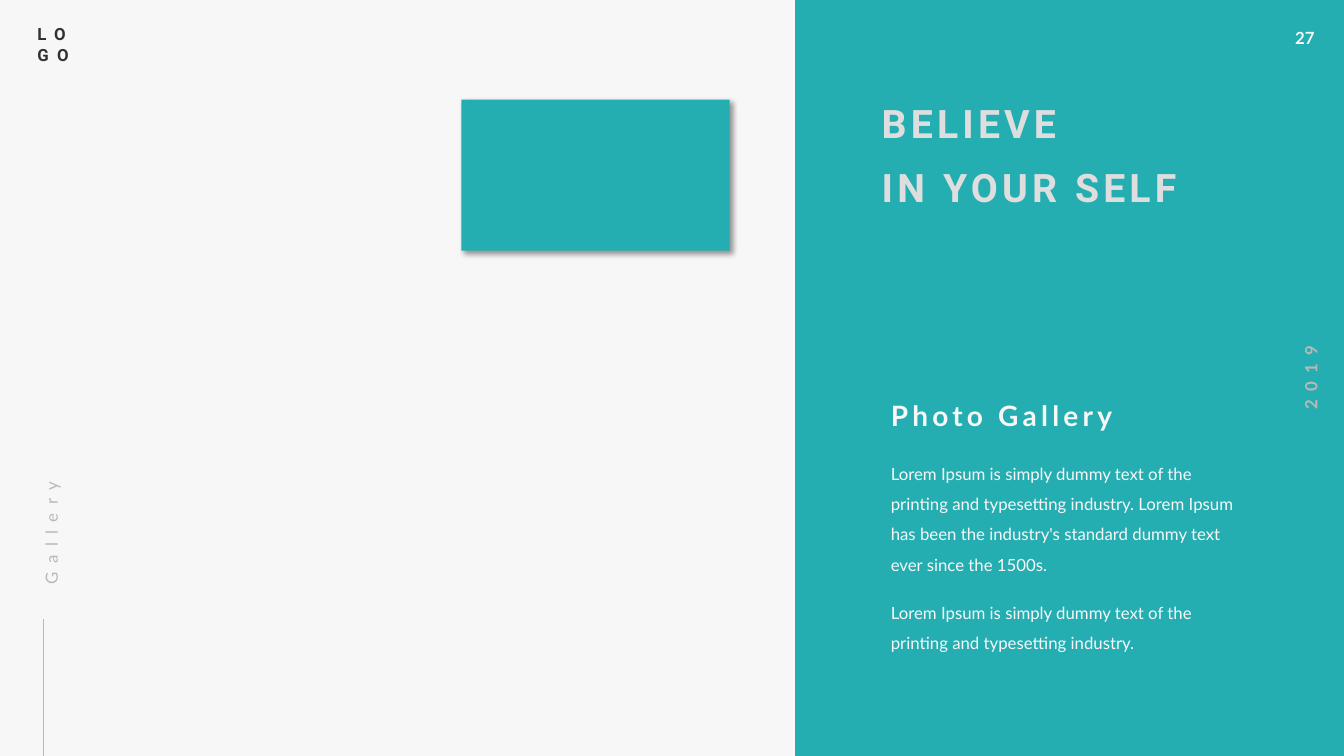
from lxml import etree
from pptx import Presentation
from pptx.dml.color import RGBColor
from pptx.enum.shapes import MSO_CONNECTOR, MSO_SHAPE
from pptx.enum.text import MSO_ANCHOR, MSO_AUTO_SIZE, PP_ALIGN
from pptx.oxml import parse_xml
from pptx.oxml.ns import nsdecls, qn
from pptx.util import Cm, Pt

RECT, LINE = MSO_SHAPE.RECTANGLE, MSO_CONNECTOR.STRAIGHT
TOP, NO_FIT = MSO_ANCHOR.TOP, MSO_AUTO_SIZE.NONE
LEFT, CENTER = PP_ALIGN.LEFT, PP_ALIGN.CENTER

COLORS = {"paper": "F7F7F7", "teal": "25AEB1", "ink": "323232",
          "gray": "B9B9B9", "silver": "DEDEDE"}
TIGHT = (0, 0, 0.25, 0)
LOOSE = (0.25, 0.13, 0.25, 0.13)
SHADOW = (f'<a:effectLst {nsdecls("a")}><a:outerShdw blurRad="50800" '
          'dist="38100" dir="2700000" algn="tl" rotWithShape="0">'
          '<a:srgbClr val="000000"><a:alpha val="40000"/></a:srgbClr>'
          '</a:outerShdw></a:effectLst>')


def color(name):
    return RGBColor.from_string(COLORS[name])


class Page:
    """Holds the current slide and draws styled elements, lengths in cm."""

    def __init__(self, deck):
        self.slide = deck.slides.add_slide(deck.slide_layouts[5])
        self.shapes = self.slide.shapes
        fill = self.slide.background.fill
        fill.solid()
        fill.fore_color.rgb = color("paper")

    def block(self, box, shadow=False):
        shape = self.shapes.add_shape(RECT, *map(Cm, box))
        shape.fill.solid()
        shape.fill.fore_color.rgb = color("teal")
        shape.line.fill.background()
        shape.shadow.inherit = False
        if shadow:
            props = shape.element.spPr
            props.remove(props.find(qn("a:effectLst")))
            props.append(parse_xml(SHADOW))

    def rule(self, *ends):
        line = self.shapes.add_connector(LINE, *map(Cm, ends))
        line.line.color.rgb = color("gray")
        line.line.width = Pt(0.5)
        etree.SubElement(line.element.spPr, qn("a:effectLst"))

    def text(self, box, lines, **style):
        shape = self.shapes.add_textbox(*map(Cm, box))
        self.typeset(shape, lines, **style)

    def title(self, box, lines, **style):
        shape = self.shapes.title
        shape.left, shape.top, shape.width, shape.height = map(Cm, box)
        tree = shape.element.getparent()
        tree.append(shape.element)  # keeps the title above the panel
        self.typeset(shape, lines, **style)

    def typeset(self, shape, lines, size=12, font="Lato", tint="paper",
                bold=False, track=0, lead=1.0, gap=0, align=LEFT,
                pad=TIGHT, wrap=True, turn=0):
        """Fill a shape with one paragraph per line; track and gap in points."""
        shape.rotation = turn
        frame = shape.text_frame
        frame.word_wrap = wrap
        frame.auto_size = NO_FIT
        frame.vertical_anchor = TOP
        (frame.margin_left, frame.margin_top,
         frame.margin_right, frame.margin_bottom) = map(Cm, pad)
        for i, line in enumerate(lines):
            para = frame.add_paragraph() if i else frame.paragraphs[0]
            para.alignment = align
            para.line_spacing = lead
            para.space_before = Pt(gap if i else 0)
            run = para.add_run()
            run.text = line
            run.font.size = Pt(size)
            run.font.name = font
            run.font.bold = bold
            run.font.color.rgb = color(tint)
            if track:
                run.font._element.set("spc", str(track * 100))


def main():
    deck = Presentation()
    deck.slide_width, deck.slide_height = Cm(33.87), Cm(19.05)
    page = Page(deck)

    page.text((0.69, 0.48, 1.5, 1.27), ["LO", "GO"], font="Roboto",
              tint="ink", bold=True, track=6, pad=LOOSE)
    page.block((20.04, 0, 13.83, 19.05))
    page.rule(1.09, 19.05, 1.09, 15.6)
    page.text((-1.24, 12.04, 4.7, 0.66), ["Gallery"], tint="gray",
              track=6, lead=1.5, turn=270)
    page.text((32.39, 0.56, 1.04, 0.76), ["27"], bold=True, pad=LOOSE,
              wrap=False)
    page.text((31.85, 9.14, 2.36, 0.76), ["2019"], tint="gray", bold=True,
              track=6, align=CENTER, pad=LOOSE, wrap=False, turn=270)
    page.block((11.63, 2.51, 6.76, 3.81), shadow=True)

    intro = "Lorem Ipsum is simply dummy text of the printing and typesetting industry."
    more = (" Lorem Ipsum has been the industry's standard dummy text"
            " ever since the 1500s.")
    page.text((22.45, 10.03, 6.76, 0.86), ["Photo Gallery"], size=20,
              bold=True, track=3)
    for top, high, words in ((11.43, 2.97, intro + more),
                             (14.94, 1.45, intro)):
        page.text((22.45, top, 9.12, high), [words], lead=1.5)
    page.title((22.22, 2.51, 9.35, 2.82), ["BELIEVE", "IN YOUR SELF"],
               size=28, font="Roboto", tint="silver", bold=True, track=3,
               gap=12)
    deck.save("out.pptx")


if __name__ == "__main__":
    main()
